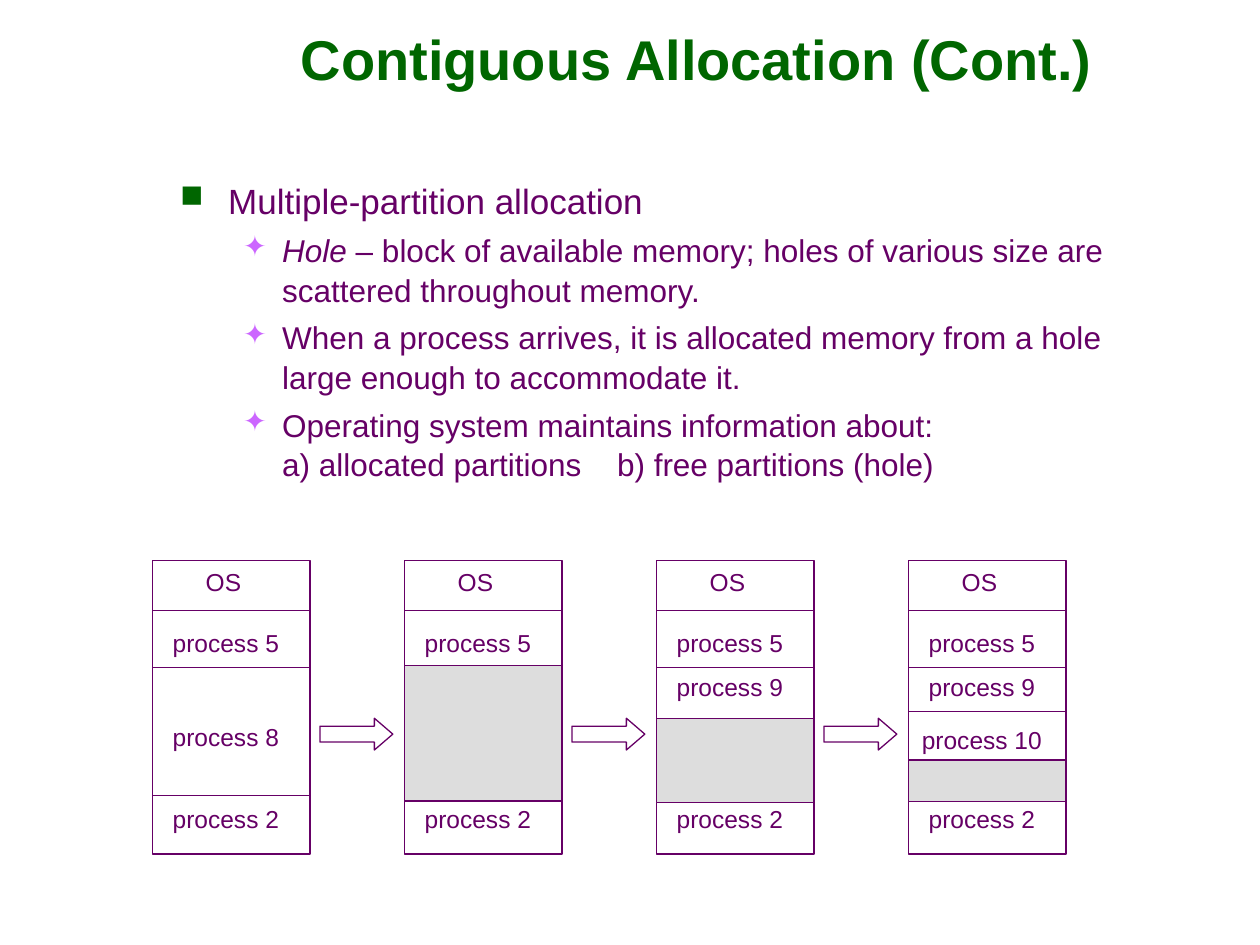
from pptx import Presentation, util as u
from pptx.dml.color import RGBColor
from pptx.enum import shapes, text
from pptx.oxml import parse_xml
from pptx.oxml.ns import nsdecls, qn

HUES = {"green": "006600", "plum": "660066", "lilac": "CC66FF",
        "gray": "DDDDDD", "white": "FFFFFF"}
TITLE = "Contiguous Allocation (Cont.)"
# level, [(words, italic)]
POINTS = [
    (0, [("Multiple-partition allocation", False)]),
    (1, [("Hole", True),
         (" – block of available memory; holes of various size are "
          "scattered throughout memory.", False)]),
    (1, [("When a process arrives, it is allocated memory from a hole "
          "large enough to accommodate it.", False)]),
    (1, [("Operating system maintains information about:\v"
          "a) allocated partitions\tb) free partitions (hole)", False)]),
]
LEVELS = [
    dict(size=20, mark="■", hue="green", left=0.97, hang=0.97, gap=0),
    dict(size=18, mark="✦", hue="lilac", left=2.06, hang=0.79, gap=4.5),
]
TAB = 8.81

# Memory maps in cm: labels and their tops, dividers, free block (top, height)
BASE = [("OS", 11.3), ("process 5", 12.52), ("process 2", 16.08)]
NINE = ("process 9", 13.41)
MAPS = [
    dict(names=[("process 8", 14.43)], cuts=[12.31, 13.45, 16.04], hole=None),
    dict(names=[], cuts=[12.31], hole=(13.41, 2.74)),
    dict(names=[NINE], cuts=[12.31, 13.45], hole=(14.48, 1.7)),
    dict(names=[NINE, ("process 10", 14.48)], cuts=[12.31, 13.45, 14.35],
         hole=(15.32, 0.84)),
]
LEFT, TOP, WIDE, HIGH, STEP = 3.07, 11.3, 3.18, 5.92, 5.08
ARROW = dict(gap=3.38, top=14.48, wide=1.47, high=0.64)
NAME_W, NAME_H = 2.97, 0.86

deck = Presentation()
deck.slide_width, deck.slide_height = u.Cm(25.4), u.Cm(19.05)
slide = deck.slides.add_slide(deck.slide_layouts[6])


def rgb(hue):
    return RGBColor.from_string(HUES[hue])


def style(font, hue, **form):
    font.color.rgb = rgb(hue)
    for key, val in dict(name="Arial", **form).items():
        setattr(font, key, val)


def area(x, y, w, h, **form):
    """Add a wrapping text box and return its text frame."""
    frame = slide.shapes.add_textbox(*map(u.Cm, (x, y, w, h))).text_frame
    for key, val in dict(word_wrap=True, **form).items():
        setattr(frame, key, val)
    return frame


def label(words, x, y, w, h, hue="plum", **form):
    frame = area(x, y, w, h, margin_left=0, margin_right=0,
                 margin_top=0, margin_bottom=0,
                 vertical_anchor=text.MSO_ANCHOR.MIDDLE)
    para = frame.paragraphs[0]
    para.text, para.alignment = words, text.PP_ALIGN.CENTER
    style(para.runs[0].font, hue, **form)


def block(kind, x, y, w, h, hue="white"):
    shape = slide.shapes.add_shape(kind, *map(u.Cm, (x, y, w, h)))
    shape.shadow.inherit = False
    shape.fill.solid()
    shape.fill.fore_color.rgb = rgb(hue)
    shape.line.color.rgb = rgb("plum")
    shape.line.width = u.Pt(0.75)
    return shape


def rule(x, y, w):
    line = slide.shapes.add_connector(
        shapes.MSO_CONNECTOR.STRAIGHT, *map(u.Cm, (x, y, x + w, y)))
    line.line.color.rgb = rgb("plum")
    line.line.width = u.Pt(0.75)
    line._element.spPr.append(parse_xml(f"<a:effectLst {nsdecls('a')}/>"))


def bullet(para, look):
    """Set hanging indent, bullet and the tab stop of a paragraph."""
    props = para._p.get_or_add_pPr()
    props.set("marL", str(u.Cm(look["left"])))
    props.set("indent", str(-u.Cm(look["hang"])))
    for tag in (
        f'<a:buClr {nsdecls("a")}><a:srgbClr val="{HUES[look["hue"]]}"/></a:buClr>',
        f'<a:buSzPct {nsdecls("a")} val="90000"/>',
        f'<a:buChar {nsdecls("a")} char="{look["mark"]}"/>',
        f'<a:tabLst {nsdecls("a")}><a:tab pos="{u.Cm(TAB)}" algn="l"/></a:tabLst>',
    ):
        props.append(parse_xml(tag))


label(TITLE, 3.25, 0, 21.59, 2.34, "green", size=u.Pt(32), bold=True)

body = area(3.38, 3.45, 19.53, 6.63)
for i, (level, parts) in enumerate(POINTS):
    para = body.add_paragraph() if i else body.paragraphs[0]
    look = LEVELS[level]
    para.level = level
    bullet(para, look)
    para.line_spacing, para.space_before = 1.05, u.Pt(look["gap"])
    for words, slant in parts:
        for j, row in enumerate(words.split("\v")):
            if j:
                para.add_line_break()
            run = para.add_run()
            run.text = row
            style(run.font, "plum", size=u.Pt(look["size"]), italic=slant)
    for mark in para._p.findall(qn("a:br")):
        mark.get_or_add_rPr().set("sz", str(look["size"] * 100)) \
            if hasattr(mark, "get_or_add_rPr") else None

RECT = shapes.MSO_SHAPE.RECTANGLE
for i, plan in enumerate(MAPS):
    x = LEFT + i * STEP
    block(RECT, x, TOP, WIDE, HIGH)
    for y in plan["cuts"]:
        rule(x, y, WIDE)
    if plan["hole"]:
        y, high = plan["hole"]
        block(RECT, x, y, WIDE, high, "gray")
    for words, y in BASE + plan["names"]:
        shift = -0.05 if words == "OS" else 0
        label(words, x + shift, y, NAME_W, NAME_H, size=u.Pt(14))
    if i < len(MAPS) - 1:
        arrow = block(shapes.MSO_SHAPE.RIGHT_ARROW, x + ARROW["gap"],
                      ARROW["top"], ARROW["wide"], ARROW["high"])
        arrow.adjustments[0], arrow.adjustments[1] = 0.5, 0.58

deck.save("out.pptx")
